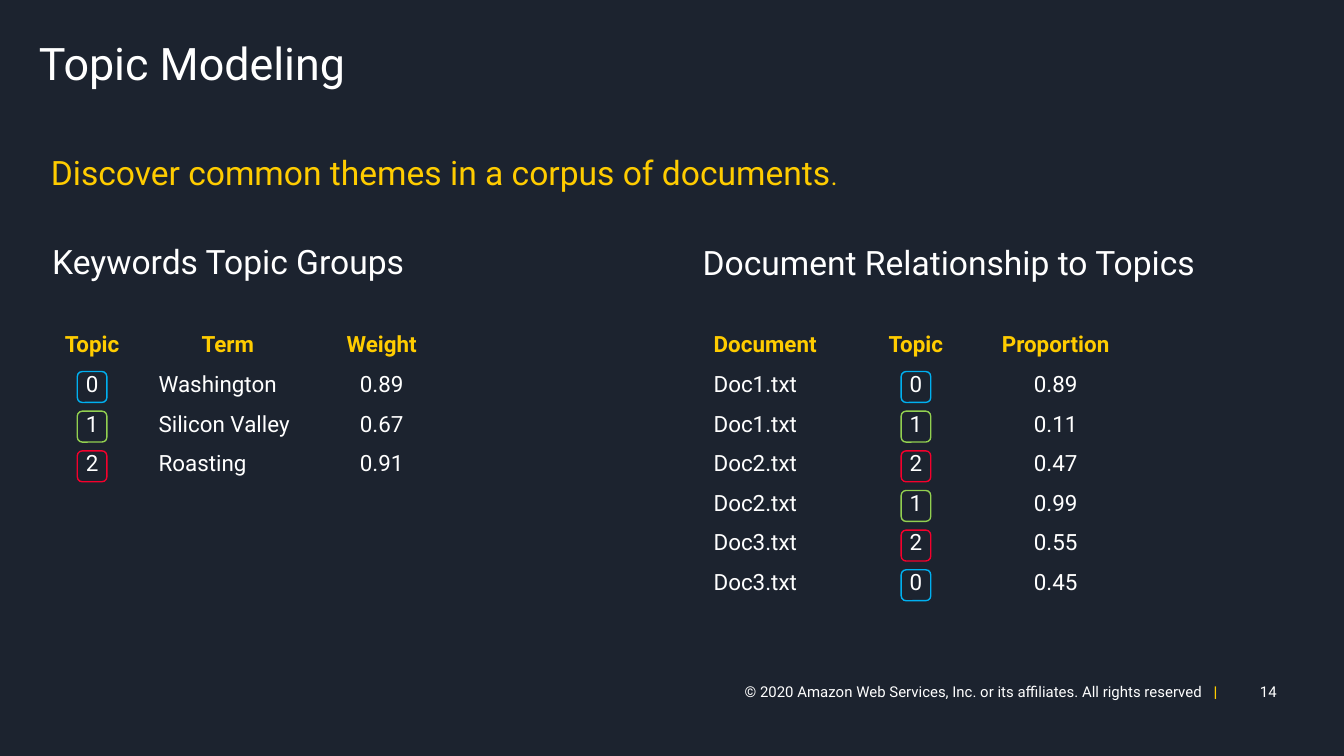
from lxml.etree import SubElement
from pptx import Presentation
from pptx.dml.color import RGBColor
from pptx.enum.shapes import MSO_SHAPE
from pptx.enum.text import MSO_ANCHOR, MSO_AUTO_SIZE, PP_ALIGN
from pptx.oxml.ns import qn
from pptx.util import Inches, Pt

NAVY = RGBColor(0x1C, 0x23, 0x2F)
WHITE = RGBColor(0xFF, 0xFF, 0xFF)
YELLOW = RGBColor(0xFF, 0xCC, 0x00)
BLUE = RGBColor(0x00, 0xB0, 0xF0)
GREEN = RGBColor(0x92, 0xD0, 0x50)
RED = RGBColor(0xF5, 0x00, 0x2C)
TOPIC_COLORS = {"0": BLUE, "1": GREEN, "2": RED}

FONT = "Roboto"
NO_STYLE = "{2D5ABB26-0587-4C30-8999-92F81FD0307C}"
ROW = 1.18 / 4  # four table rows share 1.18 inches
MARK_W, MARK_H, MARK_DROP = 0.22, 0.23, 0.05

LEFT, CENTER, RIGHT = PP_ALIGN.LEFT, PP_ALIGN.CENTER, PP_ALIGN.RIGHT


def set_font(font, size, color, bold=False):
    font.name = FONT
    font.size = Pt(size)
    font.color.rgb = color
    font.bold = bold


def clear_insets(tf):
    tf.margin_left = tf.margin_right = tf.margin_top = tf.margin_bottom = 0


def add_title(slide, box, text):
    title = slide.shapes.title
    title.left, title.top, title.width, title.height = map(Inches, box)
    tf = title.text_frame
    tf.text = text
    tf.auto_size = MSO_AUTO_SIZE.NONE
    tf.vertical_anchor = MSO_ANCHOR.TOP
    clear_insets(tf)
    p = tf.paragraphs[0]
    p.alignment = LEFT
    p.line_spacing = 0.9
    set_font(p.font, 24, WHITE)


def add_heading(slide, box, text, color):
    tf = slide.shapes.add_textbox(*map(Inches, box)).text_frame
    tf.word_wrap = False
    p = tf.paragraphs[0]
    p.add_run().text = text
    set_font(p.font, 18, color)
    return p


def add_footer_text(slide, box, text, align, tab=None):
    tf = slide.shapes.add_textbox(*map(Inches, box)).text_frame
    tf.word_wrap = True
    tf.vertical_anchor = MSO_ANCHOR.MIDDLE
    clear_insets(tf)
    p = tf.paragraphs[0]
    p.alignment = align
    if tab:
        tabs = SubElement(p._p.get_or_add_pPr(), qn("a:tabLst"))
        SubElement(tabs, qn("a:tab"), pos=str(Inches(tab)), algn="l")
    p.add_run().text = text
    set_font(p.font, 8, WHITE)
    return p


def add_footer(slide, top, height):
    p = add_footer_text(
        slide, (5.54, top, 3.6, height),
        "© 2020 Amazon Web Services, Inc. or its affiliates. All rights reserved",
        LEFT, tab=3.49)
    r = p.add_run()
    r.text = "\t|"
    set_font(r.font, 8, YELLOW, True)
    add_footer_text(slide, (8.57, top, 0.93, height), "14", RIGHT)


def add_topic_mark(slide, center_x, top, topic):
    """Rounded outline around a topic number."""
    sp = slide.shapes.add_shape(
        MSO_SHAPE.ROUNDED_RECTANGLE, Inches(center_x - MARK_W / 2), Inches(top),
        Inches(MARK_W), Inches(MARK_H))
    sp.shadow.inherit = False
    sp.fill.background()
    sp.line.color.rgb = TOPIC_COLORS[topic]
    sp.line.width = Pt(0.75)


def add_topic_table(slide, left, top, widths, rows, aligns):
    """Plain table whose Topic column is marked by topic colour."""
    frame = slide.shapes.add_table(
        len(rows), len(widths), Inches(left), Inches(top),
        Inches(sum(widths)), Inches(ROW * len(rows)))
    for style in frame.element.iter(qn("a:tableStyleId")):
        style.text = NO_STYLE
    table = frame.table
    table.first_row = table.horz_banding = False
    for column, width in zip(table.columns, widths):
        column.width = Inches(width)

    topic_col = rows[0].index("Topic")
    topic_x = left + sum(widths[:topic_col]) + widths[topic_col] / 2
    for i, values in enumerate(rows):
        header = i == 0
        table.rows[i].height = Inches(ROW)
        for j, value in enumerate(values):
            cell = table.cell(i, j)
            cell.fill.background()
            cell.margin_bottom = Inches(0.04)
            cell.text = value
            p = cell.text_frame.paragraphs[0]
            p.alignment = CENTER if header and j else aligns[j]
            set_font(p.font, 12, YELLOW if header else WHITE, header)
        if not header:
            add_topic_mark(slide, topic_x, top + i * ROW + MARK_DROP, values[topic_col])


def main():
    prs = Presentation()
    prs.slide_width, prs.slide_height = Inches(10), Inches(10 * 9 / 16)
    slide = prs.slides.add_slide(prs.slide_layouts[5])
    slide.background.fill.solid()
    slide.background.fill.fore_color.rgb = NAVY

    # Title and lead sentence
    add_title(slide, (0.29, 0.31, 9.24, 0.51), "Topic Modeling")
    p = add_heading(slide, (0.28, 1.08, 6.19, 0.4),
                    "Discover common themes in a corpus of documents", YELLOW)
    r = p.add_run()
    r.text = "."
    r.font.size = Pt(13.5)

    # Keywords by topic
    add_heading(slide, (0.29, 1.74, 2.86, 0.4), "Keywords Topic Groups", WHITE)
    add_topic_table(slide, 0.29, 2.42, (0.79, 1.23, 1.06), (
        ("Topic", "Term", "Weight"),
        ("0", "Washington", "0.89"),
        ("1", "Silicon Valley", "0.67"),
        ("2", "Roasting", "0.91"),
    ), (CENTER, LEFT, CENTER))

    # Topics by document
    add_heading(slide, (5.13, 1.75, 3.87, 0.4), "Document Relationship to Topics", WHITE)
    add_topic_table(slide, 5.21, 2.42, (1.15, 0.91, 1.17), (
        ("Document", "Topic", "Proportion"),
        ("Doc1.txt", "0", "0.89"),
        ("Doc1.txt", "1", "0.11"),
        ("Doc2.txt", "2", "0.47"),
        ("Doc2.txt", "1", "0.99"),
        ("Doc3.txt", "2", "0.55"),
        ("Doc3.txt", "0", "0.45"),
    ), (LEFT, CENTER, CENTER))

    add_footer(slide, 5.06, 0.17)
    prs.save("out.pptx")


if __name__ == "__main__":
    main()
